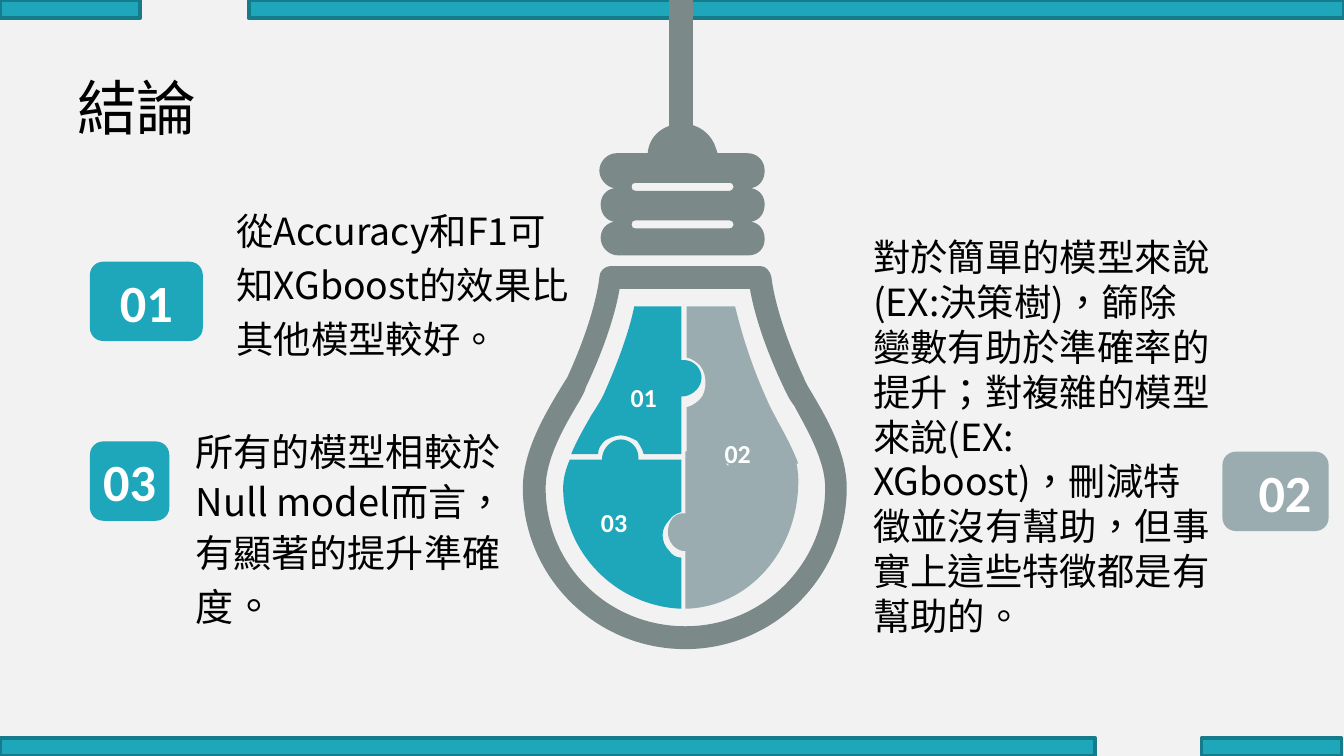
from dataclasses import dataclass

from lxml import etree
from pptx import Presentation
from pptx.dml.color import RGBColor
from pptx.enum.lang import MSO_LANGUAGE_ID
from pptx.enum.shapes import MSO_CONNECTOR, MSO_SHAPE
from pptx.enum.text import MSO_ANCHOR, PP_ALIGN
from pptx.oxml.ns import qn
from pptx.util import Pt

RECT, ROUND_RECT = MSO_SHAPE.RECTANGLE, MSO_SHAPE.ROUNDED_RECTANGLE
STRAIGHT = MSO_CONNECTOR.STRAIGHT
LEFT, CENTER, RIGHT = PP_ALIGN.LEFT, PP_ALIGN.CENTER, PP_ALIGN.RIGHT
TOP, MIDDLE = MSO_ANCHOR.TOP, MSO_ANCHOR.MIDDLE
TAIWAN = MSO_LANGUAGE_ID.TRADITIONAL_CHINESE

GRID = 0.72  # points per unit of the bulb outlines


@dataclass(frozen=True)
class Theme:
    background: str = "F2F2F2"
    teal: str = "1EA6BB"
    teal_edge: str = "167B8A"
    light_gray: str = "9AACAF"
    gray: str = "7B8989"
    black: str = "000000"
    white: str = "FFFFFF"
    body_font: str = "Noto Sans CJK SC"
    number_font: str = "Calibri"
    title: float = 32
    badge: float = 28
    body: float = 20
    body_large: float = 20.4
    full_stop: float = 22.2
    piece: float = 13.9


THEME = Theme()


@dataclass(frozen=True)
class Box:
    left: float
    top: float
    width: float
    height: float

    def emu(self):
        return [Pt(v) for v in (self.left, self.top, self.width, self.height)]


@dataclass(frozen=True)
class Run:
    text: str
    size: float
    color: str = THEME.black
    font: str = THEME.body_font
    bold: bool = False


@dataclass(frozen=True)
class TextBlock:
    box: Box
    runs: tuple[Run, ...]
    insets: tuple[float, float, float, float]  # left, top, right, bottom
    spacing: float = 1.0
    anchor: MSO_ANCHOR = MIDDLE
    align: PP_ALIGN = LEFT


@dataclass(frozen=True)
class Badge:
    number: str
    box: Box
    color: str
    align: PP_ALIGN = CENTER


@dataclass(frozen=True)
class Piece:
    """One puzzle piece: its number, the label's corner and the outline."""
    number: str
    left: float
    top: float
    color: str
    outline: str


BARS = (Box(0, 395.4, 586.8, 9.8), Box(643.7, 395.4, 75, 9.8),
        Box(133.2, 0, 586.8, 9.8), Box(0, 0, 75, 9.8))

BADGES = (
    Badge("01", Box(48.2, 140.2, 60.5, 42.5), THEME.teal),
    Badge("03", Box(48.2, 236.5, 42.5, 42.5), THEME.teal),
    Badge("02", Box(654.9, 242, 56.9, 42.5), THEME.light_gray, RIGHT),
)

TEXTS = (
    TextBlock(Box(32.4, 32.4, 329, 41), (Run("結論", THEME.title),),
              (8.9, 0, 0, 0), 1.14, TOP),
    TextBlock(Box(115.1, 134.3, 194.4, 31.7),
              (Run("從Accuracy和F1可知XGboost的效果比其他模型較好。", THEME.body),),
              (11.5, 0, 0, 0), 1.2),
    TextBlock(Box(93.3, 231.1, 184.3, 114.5),
              (Run("所有的模型相較於Null model而言，有顯著的提升準確度", THEME.body_large),
               Run("。", THEME.full_stop)),
              (11.5, 0, 0, 12.3), 1.1),
    TextBlock(Box(467.7, 219.6, 193.7, 28.1),
              (Run("對於簡單的模型來說(EX:決策樹)，篩除變數有助於準確率的提升；"
                   "對複雜的模型來說(EX: XGboost)，刪減特徵並沒有幫助，"
                   "但事實上這些特徵都是有幫助的。", THEME.body),),
              (0, 0, 11.5, 0)),
)

# Outlines: M and L take one point, C takes two control points and an end.
PIECES = (
    Piece("01", 331.9, 200.9, THEME.teal,
          "M 445 338 C 445 334 447 331 450 328 C 453 326 458 324 462 324 "
          "C 466 324 470 326 474 328 C 476 331 478 334 479 338 L 507 338 L 507 295 "
          "L 509 295 C 516 294 522 288 522 281 C 522 274 516 268 509 268 L 507 268 "
          "L 507 228 L 472 228 C 469 243 462 265 449 294 C 447 298 444 303 440 309 "
          "C 435 318 429 328 425 338"),
    Piece("02", 382.3, 231.1, THEME.light_gray,
          "M 511 266 C 515 267 518 269 521 272 C 524 276 525 280 525 285 "
          "C 525 289 524 294 521 297 C 518 300 515 302 511 303 L 511 345 L 542 345 "
          "L 542 347 C 542 354 548 360 556 360 C 562 360 569 354 569 347 L 569 345 "
          "L 594 345 C 590 334 584 323 579 314 C 576 308 573 303 571 298 "
          "C 557 267 551 244 547 228 L 511 228"),
    Piece("03", 316.1, 267.8, THEME.teal,
          "M 507 415 C 503 415 500 413 498 410 C 495 407 493 403 493 398 "
          "C 493 394 495 390 498 387 C 500 384 503 382 507 381 L 507 342 L 475 342 "
          "L 475 340 C 475 333 469 327 462 327 C 455 327 449 333 448 340 L 448 342 "
          "L 424 342 C 421 349 419 356 419 363 C 419 411 458 451 507 453"),
)
LOWER_RIGHT = (
    "M 568 336 C 568 340 566 344 563 346 C 560 349 556 351 552 351 "
    "C 548 351 544 349 541 346 C 538 344 537 340 536 336 L 510 336 L 510 382 L 508 382 "
    "C 502 382 497 388 497 396 C 497 403 502 409 508 410 L 510 410 L 510 453 "
    "C 557 452 594 410 594 358 C 594 351 593 344 590 336")
GLASS = (
    "M 454 198 L 566 198 C 570 198 573 202 574 206 C 574 206 576 233 598 281 "
    "C 599 284 602 289 605 294 C 615 311 630 337 630 363 C 630 429 576 483 510 483 "
    "C 443 483 389 429 389 363 C 389 337 404 311 414 294 C 417 289 420 284 422 281 "
    "C 444 233 446 206 446 206 C 446 202 450 198 454 198 "
    "M 558 215 L 461 215 C 459 227 453 252 436 288 C 435 292 432 297 429 302 "
    "C 419 319 406 342 406 363 C 406 420 452 466 510 466 C 567 466 614 420 614 363 "
    "C 614 342 600 319 591 302 C 587 297 585 292 583 288 C 566 252 560 227 558 215")
SLOT = ("M 473 {0} L 543 {0} C 544 {0} 546 {1} 546 {2} C 546 {3} 544 {4} 543 {4} "
        "L 473 {4} C 471 {4} 470 {3} 470 {2} C 470 {1} 471 {0} 473 {0} ")
SOCKET = (
    "M 457 140 C 451 141 447 146 447 152 C 447 159 451 164 457 165 "
    "C 451 166 447 171 447 177 C 447 184 453 190 460 190 L 557 190 "
    "C 564 190 569 185 569 178 C 569 171 565 166 559 165 C 565 164 569 159 569 152 "
    "C 569 146 565 141 559 140 C 565 139 569 134 569 127 C 569 120 564 114 556 114 "
    "L 534 114 C 533 113 533 112 533 111 C 530 100 520 92 508 92 "
    "C 494 92 483 101 482 114 L 459 114 C 452 114 446 120 446 127 "
    "C 446 133 451 139 457 140 "
    + "".join(SLOT.format(y, y + 1, y + 3, y + 5, y + 6) for y in (136, 164)))


def rgb(color: str) -> RGBColor:
    return RGBColor.from_string(color)


def paint(sp, color: str) -> None:
    sp.shadow.inherit = False
    sp.fill.solid()
    sp.fill.fore_color.rgb = rgb(color)
    sp.line.fill.background()


def write(tf, runs: tuple[Run, ...], align: PP_ALIGN, spacing: float = 1.0) -> None:
    p = tf.paragraphs[0]
    p.alignment, p.line_spacing = align, spacing
    for run in runs:
        r = p.add_run()
        r.text = run.text
        r.font.size, r.font.bold, r.font.name = Pt(run.size), run.bold, run.font
        r.font.color.rgb = rgb(run.color)
        r.font.language_id = TAIWAN
        etree.SubElement(r.font._element, qn("a:ea")).set("typeface", run.font)


def number_run(number: str, size: float) -> Run:
    return Run(number, size, THEME.white, THEME.number_font, True)


def draw_outline(s, outline: str, color: str) -> None:
    """Lay every point as a line segment, then merge curve points into Béziers."""
    tokens = iter(outline.split())
    commands = [(c, [tuple(Pt(int(next(tokens)) * GRID) for _ in "xy")
                     for _ in range(3 if c == "C" else 1)]) for c in tokens]
    builder = s.shapes.build_freeform(*commands[0][1][0])
    for i, (command, pts) in enumerate(commands):
        if command != "M":
            last = i + 1 == len(commands) or commands[i + 1][0] == "M"
            builder.add_line_segments(pts, close=last)
        elif i:
            builder.move_to(*pts[0])
    sp = builder.convert_to_shape()
    paint(sp, color)
    nodes = sp._element.iter(qn("a:moveTo"), qn("a:lnTo"))
    steps = iter(list(nodes))
    for command, pts in commands:
        first, *others = [next(steps) for _ in pts]
        if command == "C":
            curve = etree.Element(qn("a:cubicBezTo"))
            first.addprevious(curve)
            for node in (first, *others):
                curve.append(node[0])
                node.getparent().remove(node)


def draw_bar(s, box: Box) -> None:
    sp = s.shapes.add_shape(RECT, *box.emu())
    paint(sp, THEME.teal)
    sp.line.color.rgb = rgb(THEME.teal_edge)
    sp.line.width = Pt(2)


def draw_text(s, block: TextBlock) -> None:
    tf = s.shapes.add_textbox(*block.box.emu()).text_frame
    tf.word_wrap, tf.vertical_anchor = True, block.anchor
    tf.margin_left, tf.margin_top, tf.margin_right, tf.margin_bottom = map(Pt, block.insets)
    write(tf, block.runs, block.align, block.spacing)


def draw_badge(s, badge: Badge) -> None:
    sp = s.shapes.add_shape(ROUND_RECT, *badge.box.emu())
    paint(sp, badge.color)
    tf = sp.text_frame
    tf.word_wrap, tf.vertical_anchor = False, MIDDLE
    write(tf, (number_run(badge.number, THEME.badge),), badge.align)


def draw_piece(s, piece: Piece) -> None:
    draw_outline(s, piece.outline, piece.color)
    draw_text(s, TextBlock(Box(piece.left, piece.top, 25.9, 21.6),
                           (number_run(piece.number, THEME.piece),),
                           (0, 3.6, 0, 3.6), anchor=TOP, align=CENTER))


def draw_cable(s) -> None:
    cable = s.shapes.add_connector(STRAIGHT, Pt(364.7), Pt(0), Pt(364.7), Pt(78.5))
    cable.line.color.rgb = rgb(THEME.gray)
    cable.line.width = Pt(13)
    etree.SubElement(cable._element.spPr, qn("a:effectLst"))


def main() -> None:
    prs = Presentation()
    prs.slide_width, prs.slide_height = Pt(720), Pt(405)
    s = prs.slides.add_slide(prs.slide_layouts[6])
    paint(s.shapes.add_shape(RECT, *Box(0, 0, 720, 405).emu()), THEME.background)
    for bar in BARS:
        draw_bar(s, bar)
    for piece in PIECES:
        draw_piece(s, piece)
    draw_outline(s, LOWER_RIGHT, THEME.light_gray)
    for outline in (GLASS, SOCKET):
        draw_outline(s, outline, THEME.gray)
    draw_cable(s)
    for badge in BADGES:
        draw_badge(s, badge)
    for block in TEXTS:
        draw_text(s, block)
    prs.save("out.pptx")


if __name__ == "__main__":
    main()
